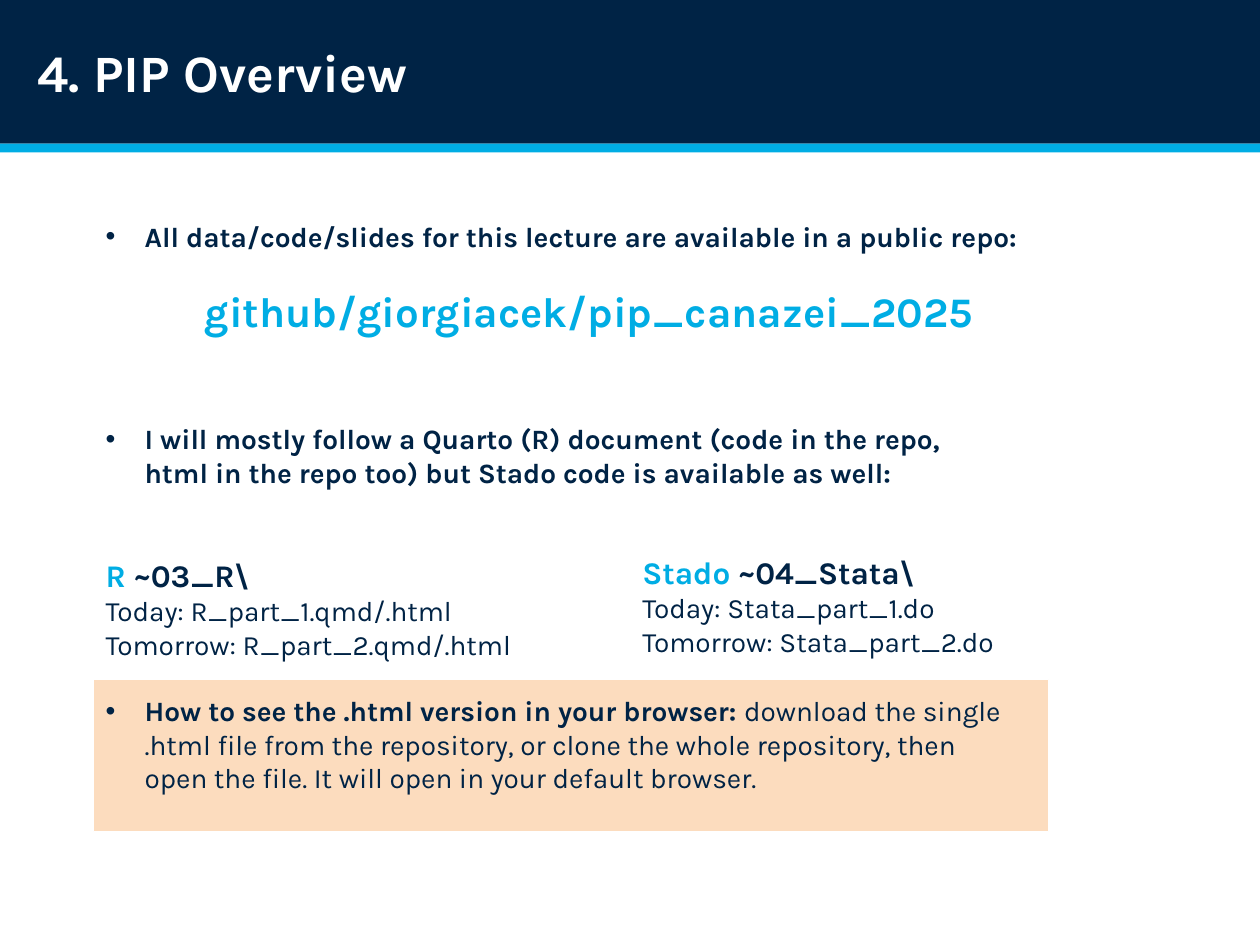
from lxml import etree
from pptx import Presentation, util as u
from pptx.dml.color import RGBColor
from pptx.enum import shapes, text
from pptx.oxml.ns import qn

NAVY, CYAN, PEACH, WHITE = "002345", "00ADE4", "F78D28", "FFFFFF"
FACE = "Karla"


def paint(color, code):
    """Set a colour format from a hex string."""
    color.rgb = RGBColor.from_string(code)


def style(font, size, code, bold):
    """Set face, size, colour and weight."""
    font.name, font.size, font.bold = FACE, u.Pt(size), bold
    paint(font.color, code)


def block(slide, left, top, width, height):
    """Add a wrapping text box and return its frame."""
    frame = slide.shapes.add_textbox(*map(u.Inches, (left, top, width, height))).text_frame
    frame.word_wrap = True
    return frame


def add_line(frame, parts, size=16, gap=0, bullet=False):
    """Add a paragraph of (words, colour, bold) parts."""
    para = frame.paragraphs[0]
    if para.runs:
        para = frame.add_paragraph()
    if gap:
        para.space_before = u.Pt(gap)
    if bullet:
        props = para._p.get_or_add_pPr()
        props.set("marL", str(u.Inches(0.31)))
        props.set("indent", str(u.Inches(-0.31)))
        etree.SubElement(props, qn("a:buFont")).set("typeface", "Arial")
        etree.SubElement(props, qn("a:buChar")).set("char", "•")
    style(para.font, size, *parts[0][1:])
    for words, code, bold in parts:
        run = para.add_run()
        run.text = words
        if (code, bold) != parts[0][1:]:
            style(run.font, size, code, bold)
    return para


def add_bar(slide, left, top, width, height, code):
    """Add a plain filled rectangle."""
    bar = slide.shapes.add_shape(
        shapes.MSO_SHAPE.RECTANGLE, *map(u.Inches, (left, top, width, height)))
    bar.shadow.inherit = False
    bar.fill.solid()
    paint(bar.fill.fore_color, code)
    bar.line.fill.background()
    return bar


def add_header(slide, words, width, height):
    """Shape the title as a dark band with a bright rule below."""
    title = slide.shapes.title
    title.left, title.top = 0, 0
    title.width, title.height = u.Inches(width), u.Inches(height)
    title.fill.solid()
    paint(title.fill.fore_color, NAVY)
    frame = title.text_frame
    frame.auto_size = text.MSO_AUTO_SIZE.NONE
    frame.vertical_anchor = text.MSO_ANCHOR.MIDDLE
    frame.margin_left = u.Inches(0.3)
    para = add_line(frame, [(words, WHITE, True)], 30)
    para.alignment = text.PP_ALIGN.LEFT
    add_bar(slide, 0, height, width, 0.07, CYAN)


def add_panel(slide, left, top, width, height):
    """Add the pale panel behind the browser hint."""
    panel = add_bar(slide, left, top, width, height, PEACH)
    fill = panel.fill._xPr.find(qn("a:solidFill"))
    etree.SubElement(fill[0], qn("a:alpha")).set("val", "30000")
    paint(panel.line.color, WHITE)
    panel.line.width = u.Pt(0.75)


def add_files(frame, lang, folder, files, gap=0):
    """List a language, its folder and its files by day."""
    add_line(frame, [(lang, CYAN, True), (f" {folder}", NAVY, True)], 18, gap)
    for day, name in zip(("Today", "Tomorrow"), files):
        add_line(frame, [(f"{day}: {name}", NAVY, False)])


def add_repo(slide, left, top, width, height):
    """Add the repository note and its address."""
    frame = block(slide, left, top, width, height)
    add_line(frame, [("All data/code/slides for this lecture are available in a public repo:",
                      NAVY, True)], bullet=True)
    link = add_line(frame, [("github/giorgiacek/pip_canazei_2025", CYAN, True)], 24, 19)
    link.alignment = text.PP_ALIGN.CENTER


def add_guide(slide, left, top, width, height):
    """Add the code note, the R files and the browser hint."""
    frame = block(slide, left, top, width, height)
    add_line(frame, [("I will mostly follow a Quarto (R) document (code in the repo, html in "
                      "the repo too) but Stado code is available as well:", NAVY, True)],
             bullet=True)
    add_files(frame, "R", "~03_R\\", ("R_part_1.qmd/.html", "R_part_2.qmd/.html"), 38)
    add_line(frame, [("How to see the .html version in your browser: ", NAVY, True),
                     ("download the single .html file from the repository, or clone the whole "
                      "repository, then open the file. It will open in your default browser.",
                      NAVY, False)], gap=19, bullet=True)


def main():
    """Build and save the slide."""
    deck = Presentation()
    deck.slide_width, deck.slide_height = u.Inches(10), u.Inches(7.5)
    slide = deck.slides.add_slide(deck.slide_layouts[5])
    add_header(slide, "4. PIP Overview", 10, 1.14)
    add_panel(slide, 0.74, 5.39, 7.58, 1.21)
    add_repo(slide, 0.74, 1.69, 7.87, 1.31)
    add_guide(slide, 0.74, 3.3, 7.34, 4.17)
    add_files(block(slide, 5, 4.34, 4.6, 1.21), "Stado", "~04_Stata\\",
              ("Stata_part_1.do", "Stata_part_2.do"))
    deck.save("out.pptx")


if __name__ == "__main__":
    main()
